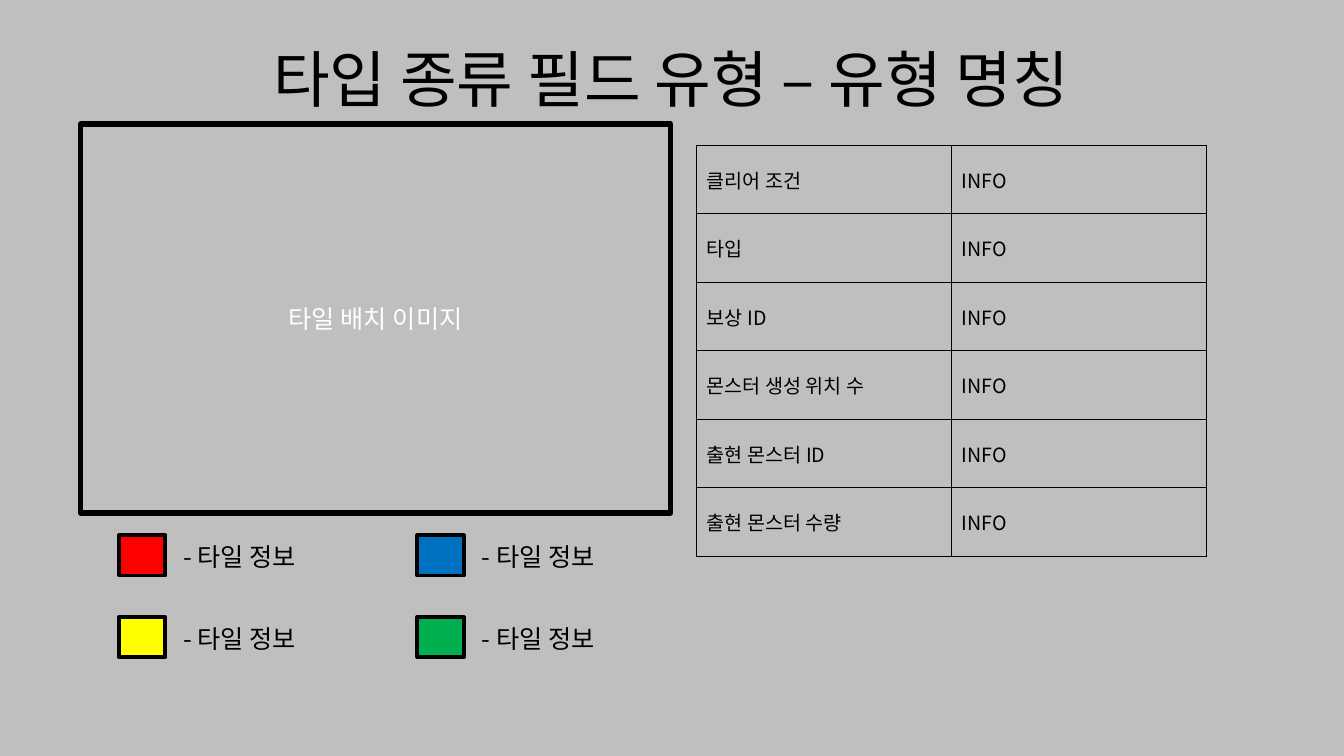
from typing import NamedTuple

from lxml import etree
from pptx import Presentation
from pptx.dml.color import RGBColor
from pptx.enum.shapes import MSO_SHAPE
from pptx.enum.text import MSO_ANCHOR, MSO_AUTO_SIZE, PP_ALIGN
from pptx.oxml.ns import qn
from pptx.util import Inches, Pt

RECT = MSO_SHAPE.RECTANGLE
MIDDLE = MSO_ANCHOR.MIDDLE
GROW = MSO_AUTO_SIZE.SHAPE_TO_FIT_TEXT
LEFT, CENTER = PP_ALIGN.LEFT, PP_ALIGN.CENTER
FONT = "Noto Sans CJK KR"
COLORS = {
    "back": "BFBFBF", "black": "000000", "white": "FFFFFF",
    "red": "FF0000", "blue": "0070C0", "yellow": "FFFF00", "green": "00B050",
}


class Box(NamedTuple):
    left: float
    top: float
    width: float
    height: float

    def inches(self) -> list:
        return [Inches(side) for side in self]


class Tile(NamedTuple):
    color: str
    text: str


TITLE = Box(0.29, 0.2, 12.74, 1.24)
FRAME = Box(0.8, 1.23, 5.85, 3.86)
TABLE = Box(6.91, 1.44, 5.06, 4.08)
LABELS = ["클리어 조건", "타입", "보상 ID", "몬스터 생성 위치 수",
          "출현 몬스터 ID", "출현 몬스터 수량"]
TILES = [Tile(color, "- 타일 정보") for color in ("red", "blue", "yellow", "green")]


def rgb(name: str) -> RGBColor:
    return RGBColor.from_string(COLORS[name])


def write(frame, text: str, size: float, color: str = "black", align=LEFT):
    par = frame.paragraphs[0]
    par.text = text
    par.alignment = align
    par.font.size = Pt(size)
    par.font.color.rgb = rgb(color)
    par.font.name = FONT
    # East Asian glyphs need their own typeface entry
    props = par._p.pPr.find(qn("a:defRPr"))
    etree.SubElement(props, qn("a:ea")).set("typeface", FONT)
    return par


def add_rect(slide, box: Box, width: float, fill: str = ""):
    shape = slide.shapes.add_shape(RECT, *box.inches())
    shape.shadow.inherit = False
    if fill:
        shape.fill.solid()
        shape.fill.fore_color.rgb = rgb(fill)
    else:
        shape.fill.background()
    shape.line.color.rgb = rgb("black")
    shape.line.width = Pt(width)
    return shape


def add_text(slide, box: Box):
    frame = slide.shapes.add_textbox(*box.inches()).text_frame
    frame.word_wrap = True
    return frame


def add_borders(cell) -> None:
    props = cell._tc.get_or_add_tcPr()
    for place, side in enumerate(("lnL", "lnR", "lnT", "lnB")):
        line = etree.Element(qn(f"a:{side}"), w=str(Pt(1)))
        fill = etree.SubElement(line, qn("a:solidFill"))
        etree.SubElement(fill, qn("a:srgbClr")).set("val", COLORS["black"])
        props.insert(place, line)


def add_info(slide) -> None:
    table = slide.shapes.add_table(len(LABELS), 2, *TABLE.inches()).table
    table.first_row = table.horz_banding = False
    for row, label in enumerate(LABELS):
        for col, text in enumerate((label, "INFO")):
            cell = table.cell(row, col)
            cell.vertical_anchor = MIDDLE
            cell.fill.background()
            add_borders(cell)
            write(cell.text_frame, text, 14)


def add_legend(slide) -> None:
    for place, tile in enumerate(TILES):
        row, col = divmod(place, 2)
        left, top = 1.18 + 2.96 * col, 5.31 + 0.81 * row
        add_rect(slide, Box(left, top, 0.46, 0.4), 2.75, tile.color)
        frame = add_text(slide, Box(left + 0.54, top + 0.01, 1.74, 0.4))
        frame.auto_size = GROW
        write(frame, tile.text, 18)


def main() -> None:
    deck = Presentation()
    deck.slide_width, deck.slide_height = Inches(13.33), Inches(7.5)
    slide = deck.slides.add_slide(deck.slide_layouts[6])
    slide.background.fill.solid()
    slide.background.fill.fore_color.rgb = rgb("back")

    # Title
    frame = add_text(slide, TITLE)
    frame.vertical_anchor = MIDDLE
    par = write(frame, "타입 종류 필드 유형 – 유형 명칭", 44, align=CENTER)
    par.line_spacing = 0.9

    # Field facts
    add_info(slide)

    # Tile layout area
    area = add_rect(slide, FRAME, 4)
    area.text_frame.vertical_anchor = MIDDLE
    write(area.text_frame, "타일 배치 이미지", 18, "white", CENTER)

    # Tile legend
    add_legend(slide)

    deck.save("out.pptx")


if __name__ == "__main__":
    main()
